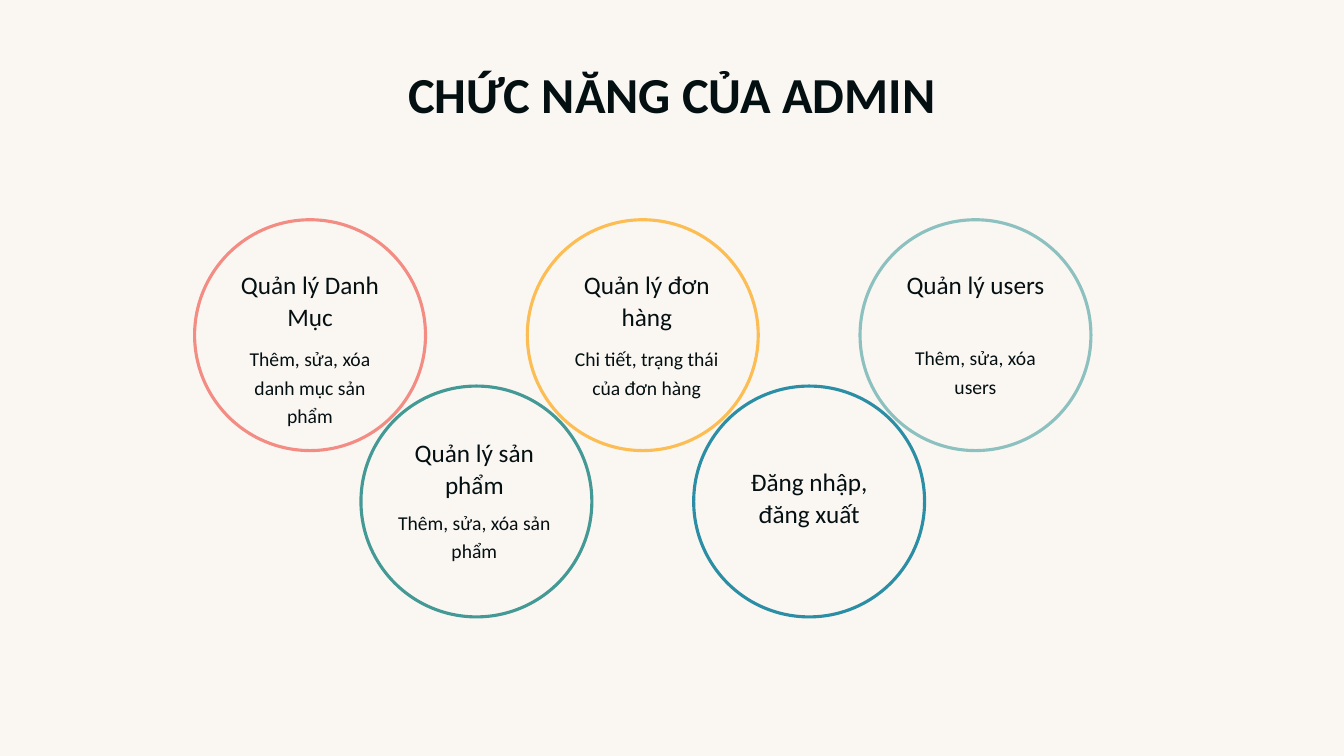
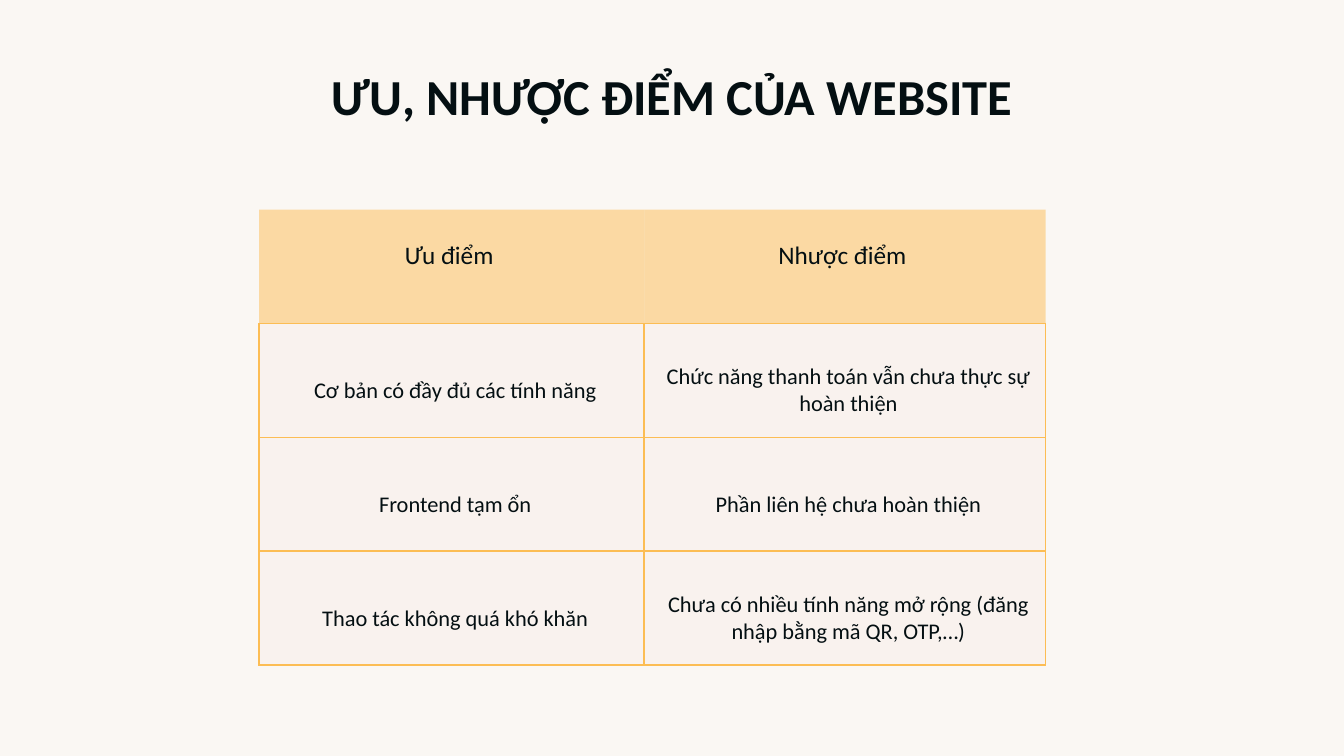
import pptx
import pptx.util
import pptx.dml.color
import pptx.enum.shapes
import pptx.enum.text
import pptx.oxml
import pptx.oxml.ns

Inches, Pt = pptx.util.Inches, pptx.util.Pt
ANCHOR = pptx.enum.text.MSO_ANCHOR

FONT, INK, PAPER = "Calibri", "040F12", "FAF7F3"
CORAL, GREEN, AMBER, BLUE, AQUA = "F38C83", "459995", "FCBD54", "2C8EA5", "8DC1BF"
NO_TABLE_STYLE = "{2D5ABB26-0587-4C30-8999-92F81FD0307C}"

# Ring colour, text shift, heading and its top, detail and its top
RINGS = [
    (CORAL, 0, "Quản lý Danh Mục", 2.6, "Thêm, sửa, xóa danh mục sản phẩm", 3.35),
    (GREEN, -0.02, "Quản lý sản phẩm", 4.27, "Thêm, sửa, xóa sản phẩm", 4.97),
    (AMBER, 0.04, "Quản lý đơn hàng", 2.6, "Chi tiết, trạng thái của đơn hàng", 3.35),
    (BLUE, 0, "Đăng nhập, đăng xuất", 4.56, None, None),
    (AQUA, 0, "Quản lý users", 2.6, "Thêm, sửa, xóa users", 3.34),
]
RING_SIZE, RING_STEP, RING_LEFT, RING_TOP = 2.29, 1.65, 1.93, 2.18

POINTS = [
    ("Ưu điểm", "Nhược điểm"),
    ("Cơ bản có đầy đủ các tính năng", "Chức năng thanh toán vẫn chưa thực sự hoàn thiện"),
    ("Frontend tạm ổn", "Phần liên hệ chưa hoàn thiện"),
    ("Thao tác không quá khó khăn",
     "Chưa có nhiều tính năng mở rộng (đăng nhập bằng mã QR, OTP,…)"),
]
COL_WIDTHS, ROW_HEIGHT = (3.82, 3.98), 1.13


def rgb(color):
    return pptx.dml.color.RGBColor.from_string(color)


def write(tf, text, size, bold=False, spacing=None):
    tf.word_wrap = True
    p = tf.paragraphs[0]
    p.alignment = pptx.enum.text.PP_ALIGN.CENTER
    p.line_spacing = spacing
    r = p.add_run()
    r.text = text
    r.font.name, r.font.size, r.font.bold = FONT, Pt(size), bold
    r.font.color.rgb = rgb(INK)


def add_slide(prs, title, top):
    s = prs.slides.add_slide(prs.slide_layouts[5])
    sp = s.shapes.title
    sp.left, sp.top, sp.width, sp.height = map(Inches, (0.76, top, 11.81, 0.61))
    tf = sp.text_frame
    tf.margin_left = tf.margin_right = tf.margin_top = tf.margin_bottom = 0
    tf.vertical_anchor = ANCHOR.TOP
    tf.auto_size = pptx.enum.text.MSO_AUTO_SIZE.NONE
    write(tf, title, 36, bold=True)
    return s


def add_label(s, text, center, top, width, size, spacing):
    sp = s.shapes.add_textbox(Inches(center - width / 2), Inches(top), Inches(width), Inches(0.65))
    write(sp.text_frame, text, size, spacing=spacing)


def add_rings(s):
    for i, (color, *_) in enumerate(RINGS):
        sp = s.shapes.add_shape(
            pptx.enum.shapes.MSO_SHAPE.OVAL, Inches(RING_LEFT + i * RING_STEP),
            Inches(RING_TOP + i % 2 * RING_STEP), Inches(RING_SIZE), Inches(RING_SIZE))
        sp.shadow.inherit = False
        sp.fill.background()
        sp.line.color.rgb = rgb(color)
        sp.line.width = Pt(2.25)
    for i, (_, shift, heading, heading_top, detail, detail_top) in enumerate(RINGS):
        center = RING_LEFT + RING_SIZE / 2 + i * RING_STEP + shift
        add_label(s, heading, center, heading_top, 1.59, 18, Pt(23))
        if detail:
            add_label(s, detail, center, detail_top, 1.74, 14, 1.2)


def style_cell(cell, sides, fill, alpha):
    """Draw the named borders and a see-through fill."""
    tc_pr = cell._tc.get_or_add_tcPr()
    ns = pptx.oxml.ns.nsdecls("a")
    for side in "LRTB":
        paint = (f'<a:solidFill><a:srgbClr val="{AMBER}"/></a:solidFill>'
                 if side in sides else "<a:noFill/>")
        tc_pr.append(pptx.oxml.parse_xml(f'<a:ln{side} {ns} w="{Pt(1.5)}">{paint}</a:ln{side}>'))
    cell.fill.solid()
    cell.fill.fore_color.rgb = rgb(fill)
    color = tc_pr.find(pptx.oxml.ns.qn("a:solidFill"))[0]
    color.append(pptx.oxml.parse_xml(f'<a:alpha {ns} val="{alpha * 1000}"/>'))


def add_points_table(s):
    table = s.shapes.add_table(
        len(POINTS), len(COL_WIDTHS), Inches(2.57), Inches(2.08),
        Inches(sum(COL_WIDTHS)), Inches(ROW_HEIGHT * len(POINTS))).table
    table.first_row = table.horz_banding = False
    table._tbl.tblPr[0].text = NO_TABLE_STYLE
    for column, width in zip(table.columns, COL_WIDTHS):
        column.width = Inches(width)
    for r, row in enumerate(POINTS):
        table.rows[r].height = Inches(ROW_HEIGHT)
        header = r == 0
        margins = (0, 0.31, 0.05, 0) if header else (0.12, 0.22, 0.05, 0.02)
        for c, text in enumerate(row):
            cell = table.cell(r, c)
            (cell.margin_left, cell.margin_top,
             cell.margin_right, cell.margin_bottom) = map(Inches, margins)
            cell.vertical_anchor = ANCHOR.TOP if header else ANCHOR.MIDDLE
            write(cell.text_frame, text, 18 if header else 16)
            if header:
                style_cell(cell, "B", AMBER, 50)
            else:
                style_cell(cell, "LRTB", CORAL, 4)


def main():
    prs = pptx.Presentation()
    prs.slide_width, prs.slide_height = Inches(13.33), Inches(7.5)
    background = prs.slide_master.background.fill
    background.solid()
    background.fore_color.rgb = rgb(PAPER)
    add_rings(add_slide(prs, "CHỨC NĂNG CỦA ADMIN", 0.63))
    add_points_table(add_slide(prs, "ƯU, NHƯỢC ĐIỂM CỦA WEBSITE", 0.65))
    prs.save("out.pptx")


if __name__ == "__main__":
    main()
